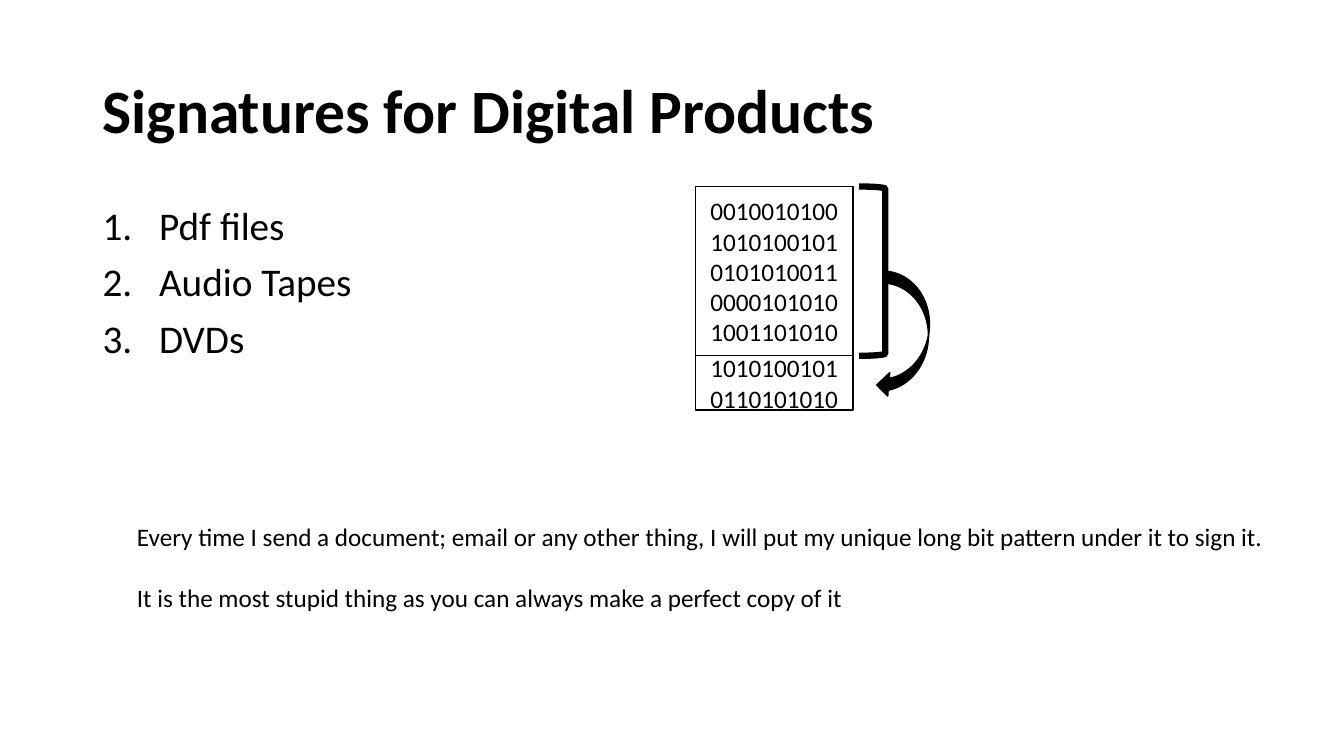
from pptx import Presentation
from pptx import util as u
from pptx.dml.color import RGBColor
from pptx.enum import shapes, text
from pptx.oxml.ns import qn
from lxml import etree

BLACK = RGBColor(0, 0, 0)
WHITE = RGBColor(255, 255, 255)
FONT = "Calibri"

TITLE = "Signatures for Digital Products"
PRODUCTS = ["Pdf files", "Audio Tapes", "DVDs"]
DOCUMENT_BITS = "00100101001010100101010101001100001010101001101010"
SIGNATURE_BITS = "10101001010110101010"
REMARKS = [
    "Every time I send a document; email or any other thing, "
    "I will put my unique long bit pattern under it to sign it.",
    "It is the most stupid thing as you can always make a perfect copy of it",
]

BITS_LEFT, BITS_TOP, BITS_WIDTH = 6.9, 1.85, 1.56
DOCUMENT_HEIGHT, SIGNATURE_HEIGHT = 1.68, 0.54
INDENT = 0.56


def put_text(sp, lines, size, bold=False, align=text.PP_ALIGN.LEFT,
             anchor=text.MSO_ANCHOR.TOP, wrap=True, line=1.0, gap=0, numbered=False):
    tf = sp.text_frame
    tf.word_wrap = wrap
    tf.vertical_anchor = anchor
    for i, words in enumerate(lines):
        p = tf.paragraphs[0] if i == 0 else tf.add_paragraph()
        if numbered:
            pr = p._p.get_or_add_pPr()
            pr.set("marL", str(u.Inches(INDENT)))
            pr.set("indent", str(-u.Inches(INDENT)))
            etree.SubElement(pr, qn("a:buAutoNum"), type="arabicPeriod")
        p.alignment = align
        p.line_spacing = line
        p.space_before = u.Pt(gap if i else 0)
        r = p.add_run()
        r.text = words
        r.font.name = FONT
        r.font.size = u.Pt(size)
        r.font.bold = bold
        r.font.color.rgb = BLACK
    return tf


def add_box(s, *frame):
    return s.shapes.add_textbox(*map(u.Inches, frame))


def add_outline(s, kind, *frame, fill=None, weight=1):
    sp = s.shapes.add_shape(kind, *map(u.Inches, frame))
    sp.shadow.inherit = False
    if fill is None:
        sp.fill.background()
    else:
        sp.fill.solid()
        sp.fill.fore_color.rgb = fill
    sp.line.color.rgb = BLACK
    sp.line.width = u.Pt(weight)
    return sp


def main():
    prs = Presentation()
    prs.slide_width, prs.slide_height = u.Inches(13.33), u.Inches(7.5)
    s = prs.slides.add_slide(prs.slide_layouts[6])

    put_text(add_box(s, 0.92, 0.4, 11.5, 1.45), [TITLE], 44, bold=True,
             anchor=text.MSO_ANCHOR.MIDDLE, line=0.9)
    put_text(add_box(s, 0.92, 2, 5.67, 4.76), PRODUCTS, 28,
             line=0.9, gap=10, numbered=True)

    top = BITS_TOP
    for bits, height in ((DOCUMENT_BITS, DOCUMENT_HEIGHT),
                         (SIGNATURE_BITS, SIGNATURE_HEIGHT)):
        sp = add_outline(s, shapes.MSO_SHAPE.RECTANGLE,
                         BITS_LEFT, top, BITS_WIDTH, height, fill=WHITE)
        put_text(sp, [bits], 18, align=text.PP_ALIGN.CENTER,
                 anchor=text.MSO_ANCHOR.MIDDLE)
        top += height

    arrow = add_outline(s, shapes.MSO_SHAPE.CURVED_LEFT_ARROW,
                        8.74, 2.71, 0.47, 1.25, fill=BLACK)
    arrow.rotation = 5
    add_outline(s, shapes.MSO_SHAPE.RIGHT_BRACKET,
                8.52, BITS_TOP, 0.26, DOCUMENT_HEIGHT, weight=4.5)

    tf = put_text(add_box(s, 1.26, 5.12, 11.52, 1.01), REMARKS, 18, wrap=False, gap=22)
    tf.auto_size = text.MSO_AUTO_SIZE.SHAPE_TO_FIT_TEXT

    prs.save("out.pptx")


if __name__ == "__main__":
    main()
